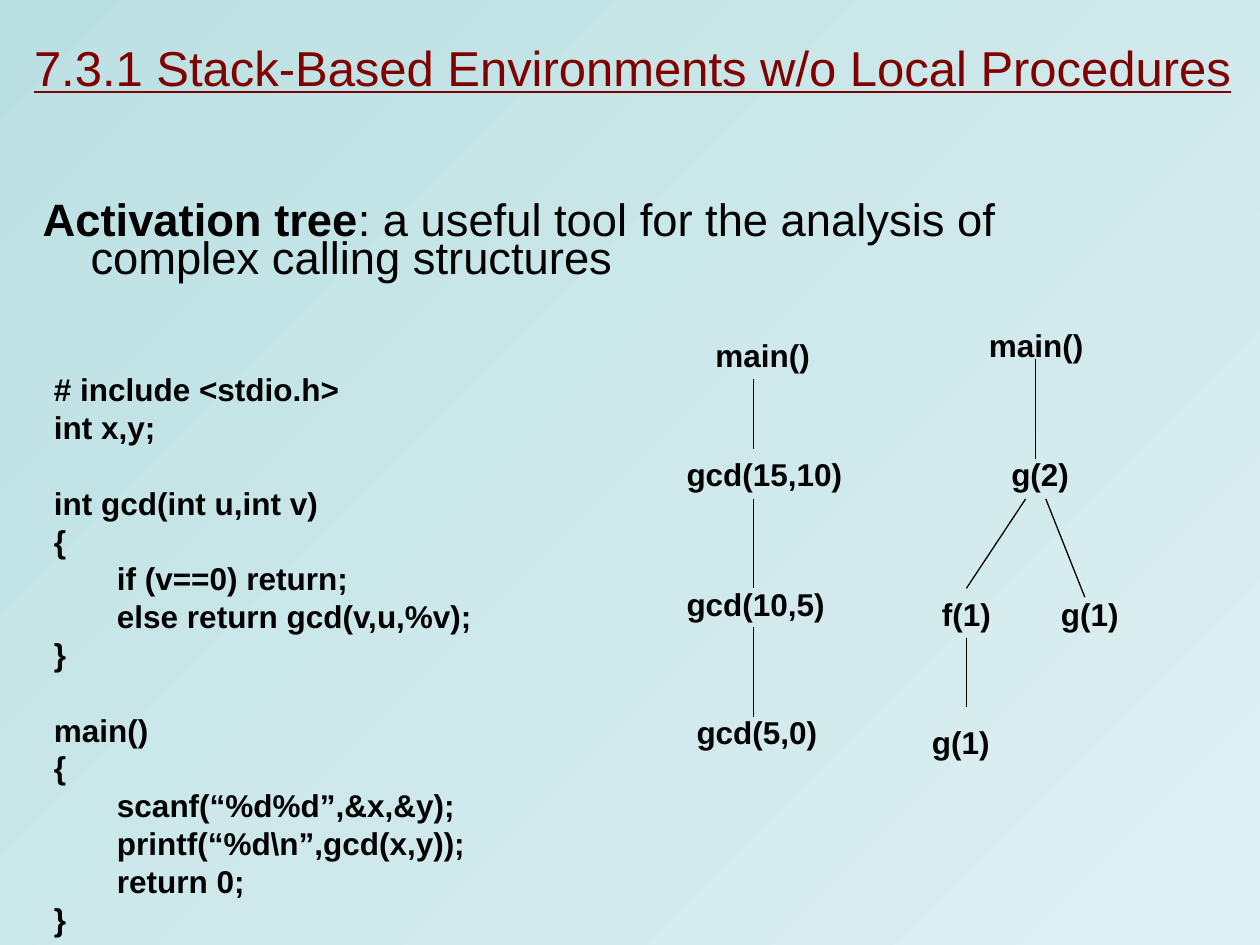
from lxml import etree
from pptx import Presentation
from pptx.dml.color import RGBColor
from pptx.enum.shapes import MSO_CONNECTOR
from pptx.enum.text import MSO_ANCHOR, PP_ALIGN
from pptx.oxml.ns import qn
from pptx.util import Inches, Pt

LEFT, CENTER = PP_ALIGN.LEFT, PP_ALIGN.CENTER
TOP = MSO_ANCHOR.TOP
STRAIGHT = MSO_CONNECTOR.STRAIGHT

COLORS = {"text": "000000", "title": "800000", "start": "BBE0E3", "end": "DFF0F2"}
FONT = "Arial"
TITLE = "7.3.1 Stack-Based Environments w/o Local Procedures"
STATEMENT = [
    ("Activation tree", True),
    (": a useful tool for the analysis of complex calling structures", False),
]
CODE_BLOCKS = [
    ["# include <stdio.h>", "int x,y;"],
    ["int gcd(int u,int v)", "{", "\tif (v==0) return;", "\telse return gcd(v,u,%v);", "}"],
    ["main()", "{", "\tscanf(“%d%d”,&x,&y);", "\tprintf(“%d\\n”,gcd(x,y));", "\treturn 0;", "}"],
]
CODE_LINE = Pt(21.6)
NODES = [
    ("main()", 5.58, 2.62, 1.1, LEFT),
    ("gcd(15,10)", 5.35, 3.56, 1.65, LEFT),
    ("gcd(10,5)", 5.35, 4.59, 1.65, LEFT),
    ("gcd(5,0)", 5.43, 5.61, 1.34, LEFT),
    ("main()", 7.75, 2.54, 1.1, LEFT),
    ("g(2)", 7.43, 3.56, 1.65, CENTER),
    ("f(1)", 7.27, 4.67, 0.8, CENTER),
    ("g(1)", 8.25, 4.67, 0.8, CENTER),
    ("g(1)", 6.8, 5.69, 1.65, CENTER),
]
EDGES = [
    (5.98, 3.01, 5.98, 3.56),
    (5.98, 3.96, 5.98, 4.67),
    (5.98, 4.98, 5.98, 5.69),
    (8.22, 2.85, 8.22, 3.64),
    (8.14, 3.96, 7.67, 4.67),
    (8.3, 3.96, 8.61, 4.74),
    (7.67, 5.06, 7.67, 5.61),
]


def color(name):
    return RGBColor.from_string(COLORS[name])


def style(run, size, bold=False, ink="text"):
    run.font.name = FONT
    run.font.size = Pt(size)
    run.font.bold = bold
    run.font.color.rgb = color(ink)


def add_text_box(slide, left, top, width, height):
    box = slide.shapes.add_textbox(*map(Inches, (left, top, width, height)))
    box.text_frame.word_wrap = True
    return box.text_frame


def paint_background(slide):
    fill = slide.background.fill
    fill.gradient()
    fill.gradient_angle = 315
    for stop, name, position in zip(fill.gradient_stops, ("start", "end"), (0, 1)):
        stop.color.rgb = color(name)
        stop.position = position


def add_title(slide):
    title = slide.shapes.title
    title.left, title.top, title.width, title.height = map(Inches, (0.17, 0.25, 9.75, 0.57))
    frame = title.text_frame
    frame.text = TITLE
    frame.word_wrap = True
    frame.vertical_anchor = TOP
    paragraph = frame.paragraphs[0]
    paragraph.alignment = LEFT
    style(paragraph.runs[0], 28, ink="title")
    paragraph.runs[0].font.underline = True


def add_statement(slide):
    paragraph = add_text_box(slide, 0.24, 1.6, 9.09, 0.75).paragraphs[0]
    paragraph.line_spacing = Pt(21.7)
    properties = paragraph._p.get_or_add_pPr()
    properties.set("marL", str(Inches(0.38)))
    properties.set("indent", str(Inches(-0.38)))
    for text, bold in STATEMENT:
        run = paragraph.add_run()
        run.text = text
        style(run, 25.9, bold)


def add_code(slide):
    frame = add_text_box(slide, 0.33, 2.89, 4.02, 4.6)
    paragraph = frame.paragraphs[0]
    for block_index, block in enumerate(CODE_BLOCKS):
        for line_index, line in enumerate(block):
            if block_index or line_index:
                paragraph = frame.add_paragraph()
            paragraph.text = line
            paragraph.line_spacing = CODE_LINE
            paragraph.space_before = CODE_LINE if block_index and not line_index else Pt(0)
            style(paragraph.runs[0], 18, True)


def add_node(slide, text, left, top, width, alignment):
    paragraph = add_text_box(slide, left, top, width, 0.4).paragraphs[0]
    paragraph.text = text
    paragraph.alignment = alignment
    style(paragraph.runs[0], 18, True)


def add_edge(slide, *ends):
    connector = slide.shapes.add_connector(STRAIGHT, *map(Inches, ends))
    connector.line.color.rgb = color("text")
    connector.line.width = Pt(0.75)
    etree.SubElement(connector._element.spPr, qn("a:effectLst"))


def main():
    presentation = Presentation()
    presentation.slide_width = Inches(10)
    presentation.slide_height = Inches(7.5)
    slide = presentation.slides.add_slide(presentation.slide_layouts[5])
    paint_background(slide)
    add_title(slide)
    add_statement(slide)
    add_code(slide)
    for node in NODES:
        add_node(slide, *node)
    for edge in EDGES:
        add_edge(slide, *edge)
    presentation.save("out.pptx")


if __name__ == "__main__":
    main()
